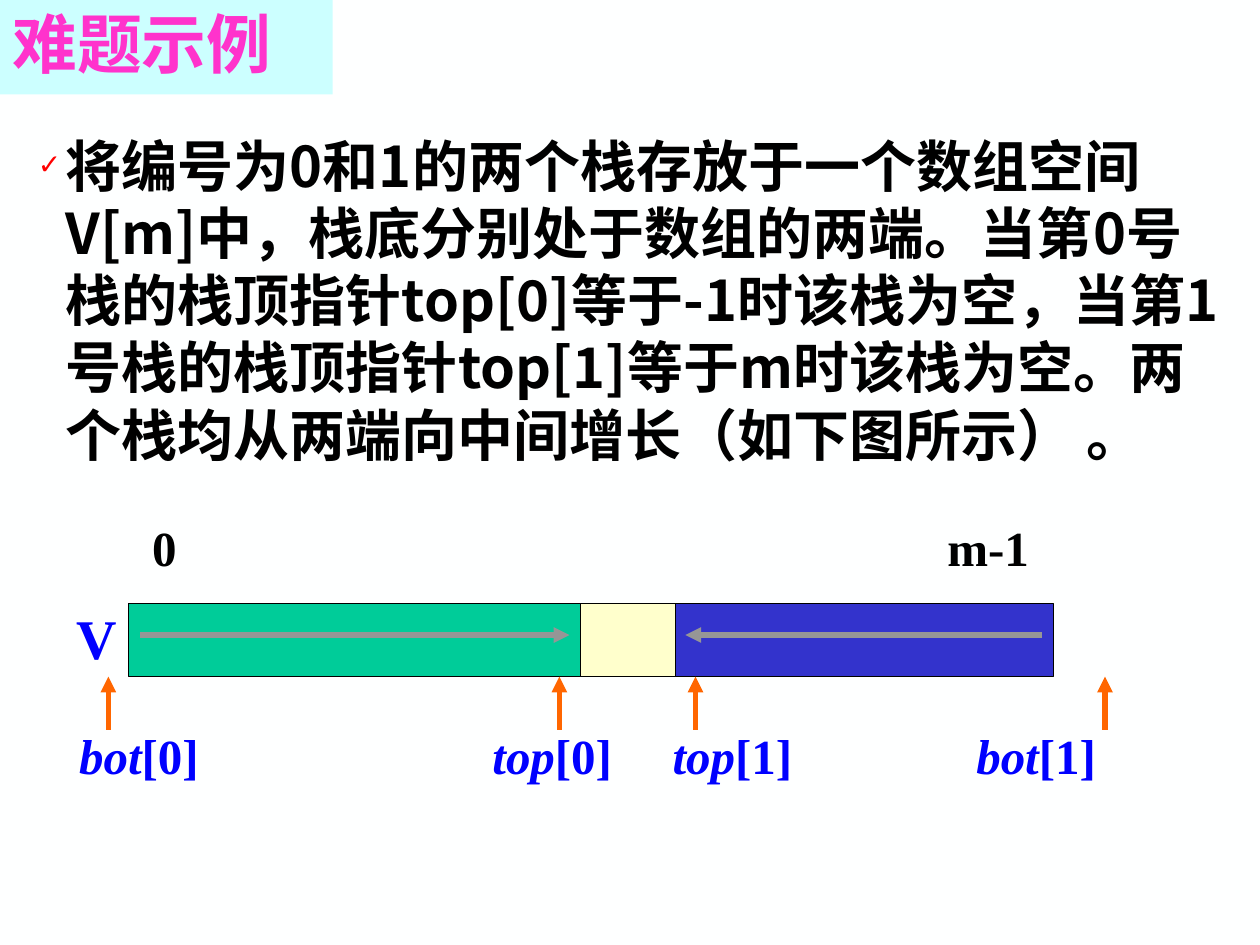
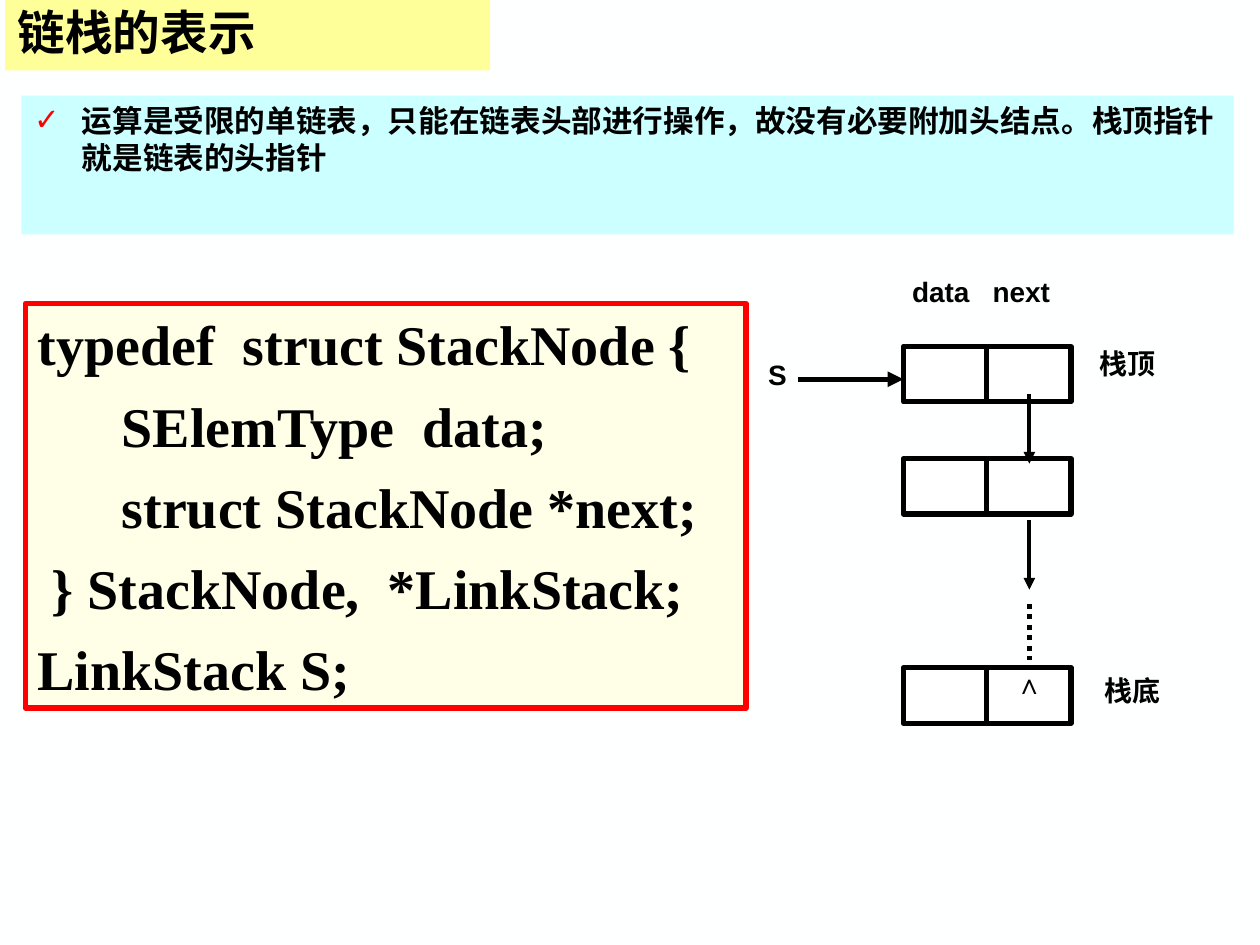
"""Build two slides on sharing one array between two stacks and on linked stacks."""
from dataclasses import dataclass
from typing import Optional

from pptx import Presentation
from pptx.dml.color import RGBColor
from pptx.enum.dml import MSO_LINE
from pptx.enum.shapes import MSO_CONNECTOR as Connector, MSO_SHAPE as Preset
from pptx.enum.text import MSO_ANCHOR as Anchor, MSO_AUTO_SIZE as AutoSize, PP_ALIGN as Align
from pptx.oxml.ns import qn
from pptx.util import Pt
from lxml.etree import SubElement

SCALE = 9144


@dataclass(frozen=True)
class Theme:
    """Colours, fonts and type sizes of both slides."""
    background: str = "FEFFFF"
    black: str = "000000"
    white: str = "FFFFFF"
    red: str = "FF0000"
    blue: str = "0000FF"
    pink: str = "FF33CC"
    cyan: str = "CCFFFF"
    yellow: str = "FFFF99"
    code_fill: str = "FFFFE7"
    first_stack: str = "00CC99"
    free_space: str = "FFFFCC"
    second_stack: str = "3333CC"
    pointer: str = "FF6600"
    growth: str = "969696"
    chinese: str = "Noto Sans CJK SC"
    serif: str = "Times New Roman"
    sans: str = "Arial"
    title_size: float = 37
    small_title_size: float = 27.2
    large_size: float = 32
    label_size: float = 28
    body_size: float = 17.5
    node_size: float = 16
    thin: float = 0.75
    medium: float = 2.25
    thick: float = 3


THEME = Theme()


@dataclass(frozen=True)
class Area:
    """A rectangle in px."""
    left: int
    top: int
    width: int
    height: int


@dataclass(frozen=True)
class Style:
    """The look of a run of text."""
    size: float
    font: str = THEME.serif
    color: str = THEME.black


@dataclass(frozen=True)
class Label:
    """A short text, with an optional index after an italic name."""
    text: str
    area: Area
    style: Style
    index: str = ""
    align: Align = Align.LEFT
    wrap: bool = False


@dataclass(frozen=True)
class Box:
    """A filled rectangle with an outline."""
    area: Area
    fill: str
    line: str = THEME.black
    weight: float = THEME.thin


@dataclass(frozen=True)
class Line:
    """A straight line from a start to an end point."""
    start: tuple[int, int]
    end: tuple[int, int]
    color: str = THEME.black
    weight: float = THEME.thick
    arrow: bool = True
    dotted: bool = False


@dataclass(frozen=True)
class Panel:
    """A title or body placeholder with its text and place."""
    text: str
    area: Area
    style: Style
    fill: Optional[str] = None
    anchor: Anchor = Anchor.MIDDLE


def px(value: int) -> int:
    """Turn px into EMU."""
    return value * SCALE


def rgb(color: str) -> RGBColor:
    """Read a hexadecimal colour."""
    return RGBColor.from_string(color)


def format_run(run, style: Style, italic: bool = False) -> None:
    """Apply a style to a run, Chinese font included."""
    font = run.font
    font.size, font.bold, font.italic = Pt(style.size), True, italic
    font.name = style.font
    font.color.rgb = rgb(style.color)
    SubElement(run.font._element, qn("a:ea"), typeface=THEME.chinese)


def fill_placeholder(placeholder, panel: Panel):
    """Place a placeholder, set its text and return its paragraph."""
    area = panel.area
    placeholder.left, placeholder.top = px(area.left), px(area.top)
    placeholder.width, placeholder.height = px(area.width), px(area.height)
    if panel.fill:
        placeholder.fill.solid()
        placeholder.fill.fore_color.rgb = rgb(panel.fill)
    frame = placeholder.text_frame
    frame.text = panel.text
    frame.word_wrap, frame.auto_size = True, AutoSize.NONE
    frame.vertical_anchor = panel.anchor
    paragraph = frame.paragraphs[0]
    paragraph.alignment = Align.LEFT
    paragraph.space_before = Pt(0)
    format_run(paragraph.runs[0], panel.style)
    return paragraph


def add_check_bullet(paragraph, indent: int, percent: int) -> None:
    """Hang a red check mark before a paragraph."""
    properties = paragraph._p.get_or_add_pPr()
    properties.set("marL", str(px(indent)))
    properties.set("indent", str(-px(indent)))
    color = SubElement(properties, qn("a:buClr"))
    SubElement(color, qn("a:srgbClr"), val=THEME.red)
    SubElement(properties, qn("a:buSzPct"), val=str(percent * 1000))
    SubElement(properties, qn("a:buFont"), typeface=THEME.sans)
    SubElement(properties, qn("a:buChar"), char="✓")


def add_text_slide(presentation, title: Panel, body: Panel, indent: int, percent: int):
    """Add a slide with a title band and a checked body."""
    slide = presentation.slides.add_slide(presentation.slide_layouts[1])
    heading = fill_placeholder(slide.shapes.title, title)
    heading.line_spacing = 0.9
    paragraph = fill_placeholder(slide.placeholders[1], body)
    add_check_bullet(paragraph, indent, percent)
    return slide


def add_box(slide, box: Box):
    """Draw a rectangle."""
    area = box.area
    shape = slide.shapes.add_shape(
        Preset.RECTANGLE, px(area.left), px(area.top), px(area.width), px(area.height))
    shape.shadow.inherit = False
    shape.fill.solid()
    shape.fill.fore_color.rgb = rgb(box.fill)
    shape.line.color.rgb = rgb(box.line)
    shape.line.width = Pt(box.weight)
    return shape


def add_line(slide, line: Line) -> None:
    """Draw a straight line, with an arrowhead at its end if asked."""
    connector = slide.shapes.add_connector(
        Connector.STRAIGHT, *map(px, line.start + line.end))
    connector.line.color.rgb = rgb(line.color)
    connector.line.width = Pt(line.weight)
    if line.dotted:
        connector.line.dash_style = MSO_LINE.ROUND_DOT
    if line.arrow:
        SubElement(connector.line._get_or_add_ln(), qn("a:tailEnd"), type="triangle")
    SubElement(connector.element.spPr, qn("a:effectLst"))


def add_label(slide, label: Label) -> None:
    """Write a label."""
    area = label.area
    shape = slide.shapes.add_textbox(
        px(area.left), px(area.top), px(area.width), px(area.height))
    frame = shape.text_frame
    frame.word_wrap = label.wrap
    paragraph = frame.paragraphs[0]
    paragraph.text = label.text
    paragraph.alignment = label.align
    format_run(paragraph.runs[0], label.style, italic=bool(label.index))
    if label.index:
        run = paragraph.add_run()
        run.text = label.index
        format_run(run, label.style)


def add_code(slide, code: str, area: Area) -> None:
    """Write code in a framed box."""
    shape = add_box(slide, Box(area, THEME.code_fill, THEME.red, THEME.thick))
    frame = shape.text_frame
    frame.text = code
    frame.word_wrap, frame.vertical_anchor = True, Anchor.MIDDLE
    for number, paragraph in enumerate(frame.paragraphs):
        paragraph.alignment = Align.LEFT
        paragraph.space_before = Pt(8 if number else 0)
        format_run(paragraph.runs[0], Style(THEME.large_size))


def build_shared_array(presentation) -> None:
    """Show two stacks growing towards each other in one array."""
    title = Panel("难题示例", Area(0, 0, 264, 75),
                  Style(THEME.title_size, THEME.chinese, THEME.pink), THEME.cyan)
    body = Panel("将编号为0和1的两个栈存放于一个数组空间V[m]中，栈底分别处于数组的两端。"
                 "当第0号栈的栈顶指针top[0]等于-1时该栈为空，当第1号栈的栈顶指针top[1]"
                 "等于m时该栈为空。两个栈均从两端向中间增长（如下图所示） 。",
                 Area(20, 99, 969, 277), Style(THEME.large_size, THEME.chinese))
    slide = add_text_slide(presentation, title, body, indent=22, percent=50)

    left = 102
    for width, color in ((359, THEME.first_stack), (75, THEME.free_space),
                         (300, THEME.second_stack)):
        add_box(slide, Box(Area(left, 479, width, 58), color))
        left += width
    for start, end in ((111, 452), (827, 544)):
        add_line(slide, Line((start, 504), (end, 504), THEME.growth))

    blue = Style(THEME.label_size, color=THEME.blue)
    for name, index, text_left, arrow in (("bot", "[0]", 53, 86), ("top", "[0]", 381, 444),
                                          ("top", "[1]", 524, 552), ("bot", "[1]", 765, 877)):
        add_label(slide, Label(name, Area(text_left, 571, 115, 57), blue, index))
        add_line(slide, Line((arrow, 579), (arrow, 537), THEME.pointer))
    black = Style(THEME.label_size)
    add_label(slide, Label("0", Area(111, 406, 40, 57), black))
    add_label(slide, Label("m-1", Area(742, 406, 85, 57), black))
    add_label(slide, Label("V", Area(51, 474, 52, 64),
                           Style(THEME.large_size, color=THEME.blue)))


def build_linked_stack(presentation) -> None:
    """Show the node type and the chain of a linked stack."""
    title = Panel("链栈的表示", Area(4, 0, 385, 56),
                  Style(THEME.small_title_size, THEME.chinese), THEME.yellow)
    body = Panel("运算是受限的单链表，只能在链表头部进行操作，故没有必要附加头结点。"
                 "栈顶指针就是链表的头指针",
                 Area(17, 76, 962, 110), Style(THEME.body_size), THEME.cyan, Anchor.TOP)
    slide = add_text_slide(presentation, title, body, indent=38, percent=100)
    add_code(slide, "typedef  struct StackNode {\n"
                    "      SElemType  data;\n"
                    "      struct StackNode *next;\n"
                    " } StackNode,  *LinkStack;\n"
                    "LinkStack S;", Area(20, 241, 572, 321))

    for top in (275, 364, 530):
        add_box(slide, Box(Area(717, top, 133, 44), THEME.white, weight=THEME.thick))
        add_line(slide, Line((783, top), (783, top + 44), arrow=False))
    for top in (313, 413):
        add_line(slide, Line((817, top), (817, top + 55), weight=THEME.medium))
    add_line(slide, Line((817, 479), (817, 524), arrow=False, dotted=True))
    add_line(slide, Line((633, 301), (717, 301)))

    style = Style(THEME.node_size, THEME.sans)
    for text, left, top in (("data", 714, 213), ("next", 778, 213),
                            ("栈顶", 863, 270), ("栈底", 867, 530)):
        add_label(slide, Label(text, Area(left, top, 70, 37), style))
    for text, left, top in (("∧", 792, 524), ("S", 592, 279)):
        add_label(slide, Label(text, Area(left, top, 50, 37), style,
                               align=Align.CENTER, wrap=True))


def main() -> None:
    """Build and save the presentation."""
    presentation = Presentation()
    presentation.slide_width, presentation.slide_height = px(1000), px(750)
    background = presentation.slide_master.background.fill
    background.solid()
    background.fore_color.rgb = rgb(THEME.background)
    build_shared_array(presentation)
    build_linked_stack(presentation)
    presentation.save("out.pptx")


if __name__ == "__main__":
    main()
